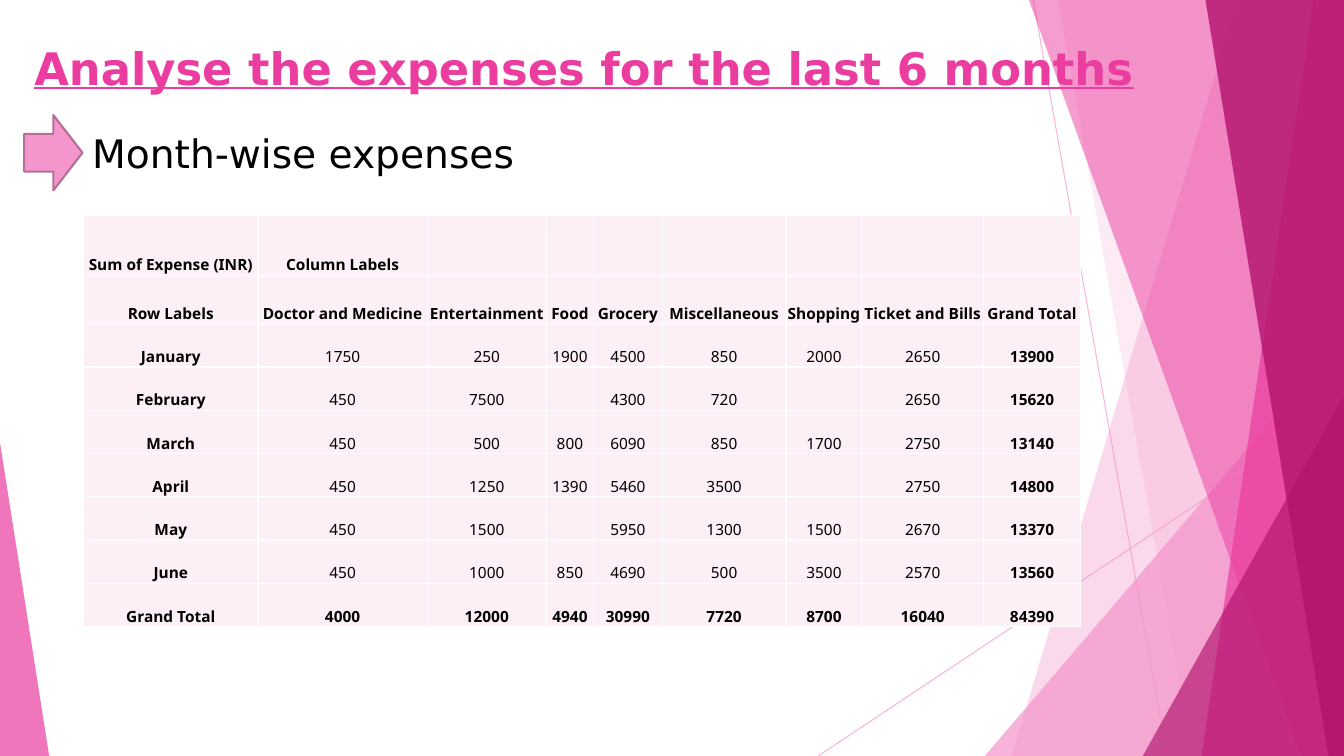
from lxml.etree import SubElement
from pptx import Presentation
from pptx.dml.color import RGBColor
from pptx.enum.shapes import MSO_CONNECTOR, MSO_SHAPE
from pptx.enum.text import MSO_ANCHOR, MSO_AUTO_SIZE, PP_ALIGN
from pptx.oxml.ns import qn
from pptx.util import Cm, Pt

LINE = MSO_CONNECTOR.STRAIGHT
WEDGE = MSO_SHAPE.ISOSCELES_TRIANGLE
ARROW = MSO_SHAPE.RIGHT_ARROW
NOTCH = MSO_SHAPE.NOTCHED_RIGHT_ARROW
TOP, MID, BASE = MSO_ANCHOR.TOP, MSO_ANCHOR.MIDDLE, MSO_ANCHOR.BOTTOM
LEFT, MIDDLE = PP_ALIGN.LEFT, PP_ALIGN.CENTER
FIXED = MSO_AUTO_SIZE.NONE

WIDE, HIGH = 33.87, 19.05
HEAD, GRID = "DejaVu Sans", "Noto Sans"
COLORS = {
    "light": "F496CB",
    "pink": "EB3D9F",
    "deep": "B2136D",
    "edge": "B56F96",
    "cell": "FDEFF6",
    "white": "FFFFFF",
    "black": "000000",
}
COLS = [4.39, 4.27, 3, 1.19, 1.73, 3.12, 1.91, 3.07, 2.44]
ROWS = [1.5, 1.22] + [1.09] * 7
DATA = [
    ["Sum of Expense (INR)", "Column Labels"] + [""] * 7,
    ["Row Labels", "Doctor and Medicine", "Entertainment", "Food", "Grocery",
     "Miscellaneous", "Shopping", "Ticket and Bills", "Grand Total"],
    ["January", "1750", "250", "1900", "4500", "850", "2000", "2650", "13900"],
    ["February", "450", "7500", "", "4300", "720", "", "2650", "15620"],
    ["March", "450", "500", "800", "6090", "850", "1700", "2750", "13140"],
    ["April", "450", "1250", "1390", "5460", "3500", "", "2750", "14800"],
    ["May", "450", "1500", "", "5950", "1300", "1500", "2670", "13370"],
    ["June", "450", "1000", "850", "4690", "500", "3500", "2570", "13560"],
    ["Grand Total", "4000", "12000", "4940", "30990", "7720", "8700", "16040", "84390"],
]


class Deck:
    """Hold the style and the current slide, and draw each kind of element."""

    def __init__(self):
        self.file = Presentation()
        self.file.slide_width, self.file.slide_height = Cm(WIDE), Cm(HIGH)
        self.slide = self.file.slides.add_slide(self.file.slide_layouts[5])
        self.shapes = self.slide.shapes

    def color(self, name):
        return RGBColor.from_string(COLORS[name])

    def fade(self, shape, alpha):
        for tone in shape._element.iter(qn("a:srgbClr")):
            SubElement(tone, qn("a:alpha"), val=str(alpha * 1000))

    def paint(self, shape, name, alpha):
        shape.shadow.inherit = False
        shape.fill.solid()
        shape.fill.fore_color.rgb = self.color(name)
        shape.line.fill.background()
        self.fade(shape, alpha)

    def ray(self, start, end):
        ray = self.shapes.add_connector(LINE, *map(Cm, start + end))
        ray.line.color.rgb = self.color("light")
        ray.line.width = Pt(0.75)
        SubElement(ray._element.spPr, qn("a:effectLst"))
        self.fade(ray, 70)

    def band(self, top, low, name, alpha):
        pen = self.shapes.build_freeform(Cm(top), 0)
        ends = [(WIDE, 0), (WIDE, HIGH), (low, HIGH)]
        pen.add_line_segments([(Cm(x), Cm(y)) for x, y in ends])
        self.paint(pen.convert_to_shape(), name, alpha)

    def wedge(self, x, y, wide, tip, name, alpha):
        box = map(Cm, (x, y, wide, HIGH - y))
        wedge = self.shapes.add_shape(WEDGE, *box)
        wedge.adjustments[0] = tip
        self.paint(wedge, name, alpha)

    def text(self, frame, text, font, size, name="black", bold=False,
             line=False, align=LEFT):
        para = frame.paragraphs[0]
        para.alignment = align
        run = para.add_run()
        run.text = text
        run.font.name, run.font.size = font, Pt(size)
        run.font.bold, run.font.underline = bold, line
        run.font.color.rgb = self.color(name)

    def title(self, text, box):
        title = self.shapes.title
        title.left, title.top, title.width, title.height = map(Cm, box)
        frame = title.text_frame
        frame.word_wrap = True
        frame.auto_size = FIXED
        frame.vertical_anchor = TOP
        self.text(frame, text, HEAD, 32, "pink", True, True)
        self.shapes._spTree.append(title._element)

    def arrow(self, box):
        arrow = self.shapes.add_shape(ARROW, *map(Cm, box))
        self.paint(arrow, "light", 100)
        arrow.line.color.rgb = self.color("edge")
        arrow.line.width = Pt(1.5)

    def label(self, text, box):
        label = self.shapes.add_shape(NOTCH, *map(Cm, box))
        label.shadow.inherit = False
        label.adjustments[0], label.adjustments[1] = 0.452, 0.5
        label.fill.background()
        label.line.fill.background()
        label.text_frame.word_wrap = True
        label.text_frame.vertical_anchor = MID
        self.text(label.text_frame, text, HEAD, 28)

    def cell(self, cell, text, bold):
        cell.margin_left = cell.margin_right = cell.margin_top = Cm(0.02)
        cell.margin_bottom = 0
        cell.vertical_anchor = BASE
        for side in "LRTB":
            edge = SubElement(cell._tc.get_or_add_tcPr(), qn("a:ln" + side), w=str(Pt(1)))
            fill = SubElement(edge, qn("a:solidFill"))
            SubElement(fill, qn("a:srgbClr"), val=COLORS["white"])
        cell.fill.solid()
        cell.fill.fore_color.rgb = self.color("cell")
        if text:
            self.text(cell.text_frame, text, GRID, 11, bold=bold, align=MIDDLE)

    def table(self, data, x, y):
        box = map(Cm, (x, y, sum(COLS), sum(ROWS)))
        table = self.shapes.add_table(len(ROWS), len(COLS), *box).table
        table.first_row = table.horz_banding = False
        for col, wide in zip(table.columns, COLS):
            col.width = Cm(wide)
        for row, high in zip(table.rows, ROWS):
            row.height = Cm(high)
        for r, row in enumerate(data):
            for c, text in enumerate(row):
                bold = r in (0, 1, len(ROWS) - 1) or c in (0, len(COLS) - 1)
                self.cell(table.cell(r, c), text, bold)


def main():
    deck = Deck()
    deck.ray((26.04, 0), (29.41, HIGH))
    deck.ray((WIDE, 10.24), (20.62, HIGH))
    deck.band(31.19, 25.5, "light", 36)
    deck.band(26.67, 30.05, "light", 20)
    deck.wedge(24.82, 8.46, 9.05, 1, "light", 72)
    deck.band(25.93, 32.79, "pink", 50)
    deck.band(33.1, 30.28, "pink", 70)
    deck.band(30.38, 33.48, "deep", 80)
    deck.wedge(28.8, 9.98, 5.07, 1, "deep", 66)
    deck.wedge(0, 11.15, 1.24, 0, "pink", 70)
    deck.title("Analyse the expenses for the last 6 months", (0.61, 0.91, 30.86, 2.13))
    deck.arrow((0.61, 2.9, 1.47, 1.9))
    deck.label("Month-wise expenses", (1.35, 2.24, 26.49, 3.2))
    deck.table(DATA, 2.11, 5.44)
    deck.file.save("out.pptx")


if __name__ == "__main__":
    main()
